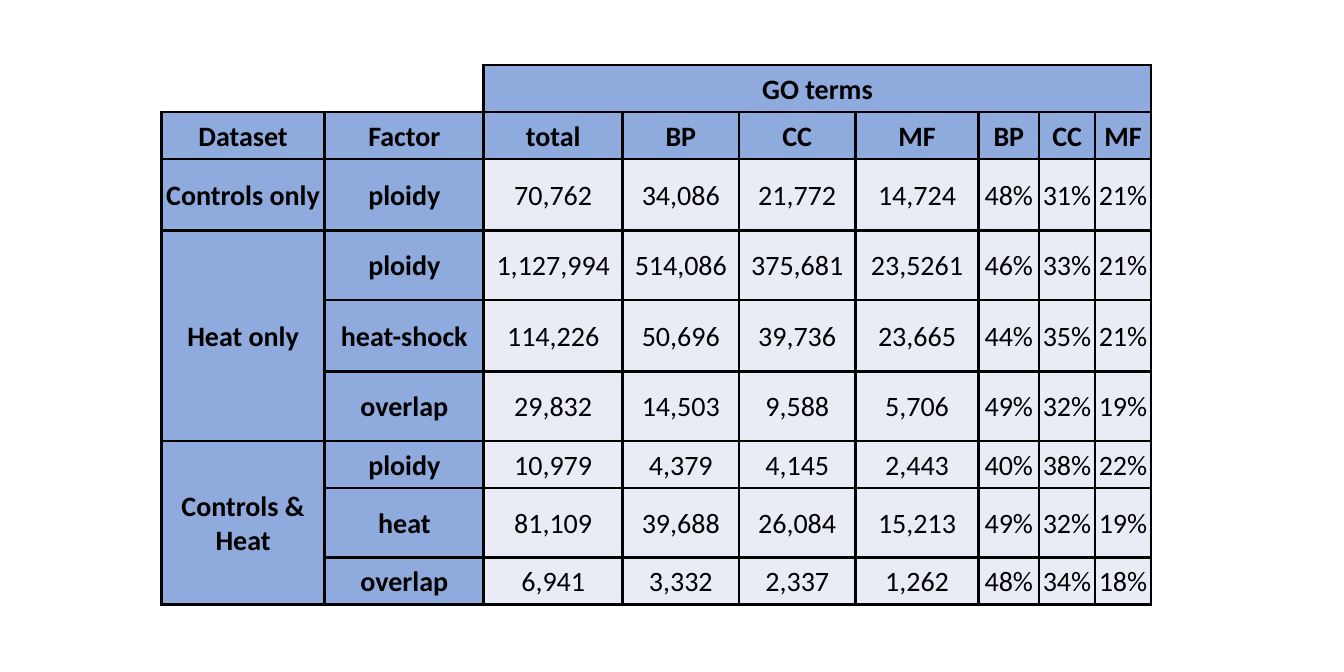
from dataclasses import dataclass

from lxml.etree import SubElement
from pptx import Presentation
from pptx.dml.color import RGBColor
from pptx.enum.text import MSO_ANCHOR as Anchor, PP_ALIGN as Align
from pptx.oxml.ns import qn
from pptx.table import Table, _Cell as Cell
from pptx.util import Inches, Pt

BLUE = RGBColor(0x8F, 0xAA, 0xDC)
PALE = RGBColor(0xE9, 0xEB, 0xF5)
BLACK = RGBColor(0, 0, 0)
FONT = "Calibri"
SIZE = Pt(9)

WIDTHS = [0.73, 0.71, 0.62, 0.52, 0.52, 0.55, 0.27, 0.25, 0.25]
HEADS = "Dataset Factor total BP CC MF BP CC MF".split()
HEAD_HEIGHT = 0.21


@dataclass
class Entry:
    factor: str
    values: str
    height: float


@dataclass
class Group:
    name: str
    entries: list[Entry]


GROUPS = [
    Group("Controls only", [
        Entry("ploidy", "70,762 34,086 21,772 14,724 48% 31% 21%", 0.32),
    ]),
    Group("Heat only", [
        Entry("ploidy", "1,127,994 514,086 375,681 23,5261 46% 33% 21%", 0.31),
        Entry("heat-shock", "114,226 50,696 39,736 23,665 44% 35% 21%", 0.32),
        Entry("overlap", "29,832 14,503 9,588 5,706 49% 32% 19%", 0.31),
    ]),
    Group("Controls & Heat", [
        Entry("ploidy", "10,979 4,379 4,145 2,443 40% 38% 22%", 0.21),
        Entry("heat", "81,109 39,688 26,084 15,213 49% 32% 19%", 0.31),
        Entry("overlap", "6,941 3,332 2,337 1,262 48% 34% 18%", 0.21),
    ]),
]


def add_lines(cell: Cell, sides: str) -> None:
    props = cell._tc.get_or_add_tcPr()
    for side in sides:
        line = SubElement(props, qn(f"a:ln{side}"), w=str(Pt(1)))
        fill = SubElement(line, qn("a:solidFill"))
        SubElement(fill, qn("a:srgbClr"), val=str(BLACK))


def style_cell(cell: Cell, text: str, color: RGBColor | None,
               bold: bool = True, sides: str = "LRTB") -> None:
    add_lines(cell, sides)
    if color is None:
        cell.fill.background()
    else:
        cell.fill.solid()
        cell.fill.fore_color.rgb = color
    cell.vertical_anchor = Anchor.MIDDLE
    cell.margin_left = cell.margin_right = cell.margin_top = Inches(0.01)
    cell.margin_bottom = 0
    par = cell.text_frame.paragraphs[0]
    par.alignment = Align.CENTER
    if not text:
        # Keeps an empty cell from stretching its row
        SubElement(par._p, qn("a:endParaRPr"), sz=str(SIZE.centipoints))
        return
    run = par.add_run()
    run.text = text
    run.font.name = FONT
    run.font.size = SIZE
    run.font.bold = bold
    run.font.color.rgb = BLACK


def fill_heads(table: Table) -> None:
    style_cell(table.cell(0, 0), "", None, sides="B")
    style_cell(table.cell(0, 1), "", None, sides="RB")
    for col, head in enumerate(HEADS):
        if col > 1:
            style_cell(table.cell(0, col), "GO terms" if col == 2 else "", BLUE)
        style_cell(table.cell(1, col), head, BLUE)
    table.cell(0, 2).merge(table.cell(0, len(HEADS) - 1))


def fill_group(table: Table, group: Group, top: int) -> None:
    for step, entry in enumerate(group.entries):
        row = top + step
        style_cell(table.cell(row, 0), "" if step else group.name, BLUE)
        style_cell(table.cell(row, 1), entry.factor, BLUE)
        for col, value in enumerate(entry.values.split(), 2):
            style_cell(table.cell(row, col), value, PALE, bold=False)
    if len(group.entries) > 1:
        table.cell(top, 0).merge(table.cell(row, 0))


def main() -> None:
    deck = Presentation()
    deck.slide_width, deck.slide_height = Inches(6), Inches(3)
    slide = deck.slides.add_slide(deck.slide_layouts[6])

    # Table grid
    heights = [HEAD_HEIGHT] * 2 + [e.height for g in GROUPS for e in g.entries]
    frame = slide.shapes.add_table(
        len(heights), len(WIDTHS), Inches(0.72), Inches(0.29),
        Inches(sum(WIDTHS)), Inches(sum(heights)))
    table = frame.table
    table.first_row = table.horz_banding = False
    for column, width in zip(table.columns, WIDTHS):
        column.width = Inches(width)
    for row, height in zip(table.rows, heights):
        row.height = Inches(height)

    # Table content
    fill_heads(table)
    top = 2
    for group in GROUPS:
        fill_group(table, group, top)
        top += len(group.entries)

    deck.save("out.pptx")


if __name__ == "__main__":
    main()
